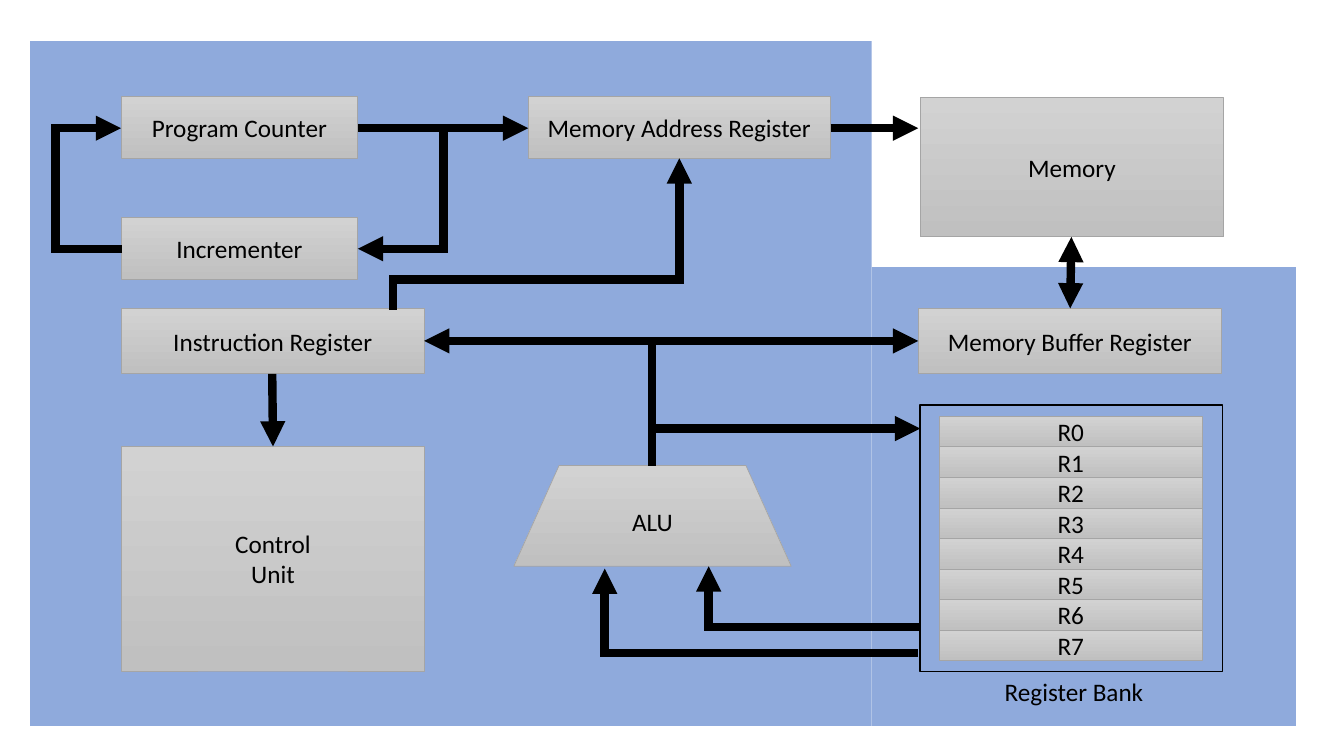
from lxml import etree
from pptx import Presentation
from pptx.dml.color import RGBColor
from pptx.enum.shapes import MSO_CONNECTOR, MSO_SHAPE as Preset
from pptx.enum.text import PP_ALIGN
from pptx.oxml.ns import qn
from pptx.util import Cm, Pt

BLUE = RGBColor(0x8F, 0xAA, 0xDC)
BLACK = RGBColor(0x00, 0x00, 0x00)
BORDER = RGBColor(0xA5, 0xA5, 0xA5)
GREY_TOP = RGBColor(0xD2, 0xD2, 0xD2)
GREY_BOTTOM = RGBColor(0xC0, 0xC0, 0xC0)

presentation = Presentation()
presentation.slide_width = Cm(33.87)
presentation.slide_height = Cm(19.05)
slide = presentation.slides.add_slide(presentation.slide_layouts[6])
shapes = slide.shapes


def add_block(preset, left, top, width, height):
    block = shapes.add_shape(preset, Cm(left), Cm(top), Cm(width), Cm(height))
    block.shadow.inherit = False
    return block


def write(frame, text, align):
    frame.text = text
    for paragraph in frame.paragraphs:
        paragraph.alignment = align
        for run in paragraph.runs:
            run.font.name = "Calibri"
            run.font.size = Pt(18)
            run.font.color.rgb = BLACK


for area in [(21.97, 6.73, 10.69, 11.56), (0.76, 1.04, 21.21, 17.25)]:
    processor = add_block(Preset.RECTANGLE, *area)
    processor.fill.solid()
    processor.fill.fore_color.rgb = BLUE
    processor.line.fill.background()

units = [
    ("ALU", Preset.TRAPEZOID, 12.95, 11.73, 6.99, 2.54),
    ("Control\nUnit", Preset.RECTANGLE, 3.07, 11.25, 7.62, 5.66),
    ("Program Counter", Preset.RECTANGLE, 3.05, 2.44, 5.97, 1.55),
    ("Memory Address Register", Preset.RECTANGLE, 13.31, 2.44, 7.62, 1.55),
    ("Instruction Register", Preset.RECTANGLE, 3.05, 7.77, 7.65, 1.65),
    ("Memory Buffer Register", Preset.RECTANGLE, 23.14, 7.77, 7.65, 1.65),
    ("Incrementer", Preset.RECTANGLE, 3.05, 5.49, 5.97, 1.55),
    ("Memory", Preset.RECTANGLE, 23.19, 2.46, 7.65, 3.51),
]
ROW = 0.77
for number in range(8):
    units.append((f"R{number}", Preset.RECTANGLE, 23.67, 10.49 + number * ROW, 6.63, ROW))

for name, preset, *place in units:
    unit = add_block(preset, *place)
    if preset == Preset.TRAPEZOID:
        unit.adjustments[0] = 0.449
    unit.fill.gradient()
    unit.fill.gradient_angle = 270
    for stop, colour, position in zip(unit.fill.gradient_stops, (GREY_TOP, GREY_BOTTOM), (0, 1)):
        stop.color.rgb = colour
        stop.position = position
    unit.line.color.rgb = BORDER
    unit.line.width = Pt(0.5)
    frame = unit.text_frame
    frame.word_wrap = True
    frame.margin_top = frame.margin_bottom = 0
    write(frame, name, PP_ALIGN.CENTER)

bank = add_block(Preset.RECTANGLE, 23.19, 10.21, 7.62, 6.71)
bank.fill.background()
bank.line.color.rgb = BLACK
bank.line.width = Pt(1)

bank_label = shapes.add_textbox(Cm(25.07), Cm(16.92), Cm(4.09), Cm(1.02))
bank_label.text_frame.word_wrap = False
write(bank_label.text_frame, "Register Bank", PP_ALIGN.LEFT)

END = ("tailEnd",)
BOTH = ("headEnd", "tailEnd")
buses = [
    (END, (9.02, 3.23), (13.31, 3.23)),
    (END, (20.93, 3.23), (23.14, 3.23)),
    (BOTH, (27, 5.97), (26.97, 7.77)),
    (BOTH, (10.69, 8.59), (23.14, 8.59)),
    (END, (11.18, 3.23), (11.18, 6.27), (9.02, 6.27)),
    (END, (3.07, 6.27), (1.4, 6.27), (1.4, 3.23), (3.05, 3.23)),
    ((), (16.43, 11.73), (16.43, 8.59)),
    (END, (16.43, 10.8), (23.19, 10.8)),
    (END, (23.19, 15.8), (17.86, 15.8), (17.86, 14.27)),
    (END, (23.14, 16.46), (15.24, 16.46), (15.24, 14.33)),
    (END, (6.86, 9.42), (6.88, 11.25)),
    (END, (9.91, 7.8), (9.91, 7.04), (17.12, 7.04), (17.12, 3.99)),
]
for arrowheads, *stops in buses:
    points = [(Cm(x), Cm(y)) for x, y in stops]
    if len(points) == 2:
        bus = shapes.add_connector(MSO_CONNECTOR.STRAIGHT, *points[0], *points[1])
    else:
        outline = shapes.build_freeform(*points[0])
        outline.add_line_segments(points[1:], close=False)
        bus = outline.convert_to_shape()
        bus.fill.background()
    bus.line.color.rgb = BLACK
    bus.line.width = Pt(6)
    properties = bus._element.spPr
    stroke = properties.find(qn("a:ln"))
    etree.SubElement(stroke, qn("a:miter"), lim="800000")
    for arrowhead in arrowheads:
        etree.SubElement(stroke, qn(f"a:{arrowhead}"), type="triangle")
    etree.SubElement(properties, qn("a:effectLst"))

presentation.save("out.pptx")
